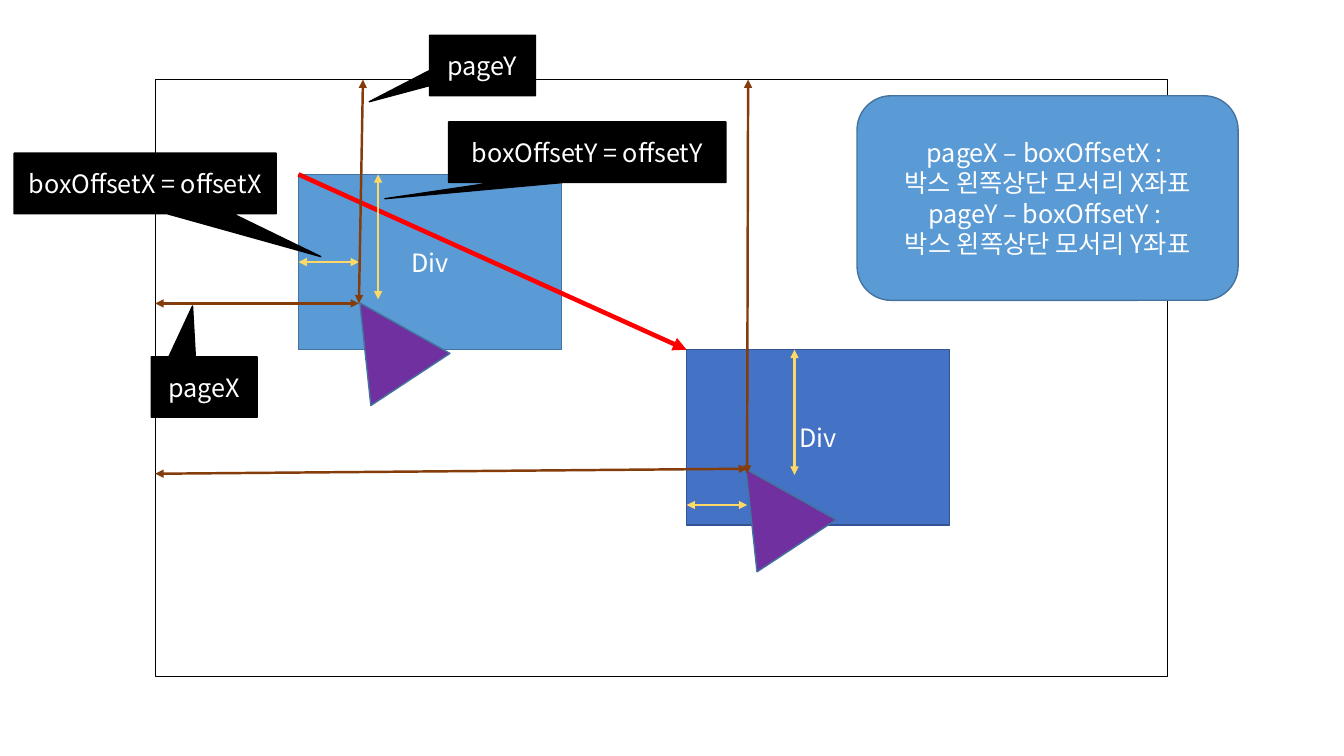
import pptx
import pptx.util
import pptx.dml.color
import pptx.enum.shapes
import pptx.enum.text
import pptx.oxml
import pptx.oxml.ns

Inches = pptx.util.Inches
Pt = pptx.util.Pt
SHAPE = pptx.enum.shapes.MSO_SHAPE
FONT = "Noto Sans CJK KR"
COLORS = {
    "black": "000000", "white": "FFFFFF", "red": "FF0000",
    "blue": "5B9BD5", "edge": "43739E", "navy": "4472C4", "rim": "325491",
    "purple": "7030A0", "gold": "FFD966", "brown": "843C0B",
}
TEXT = {"name": FONT, "size": Pt(18)}
FRAME = {"word_wrap": True, "vertical_anchor": pptx.enum.text.MSO_ANCHOR.MIDDLE}


def color(name):
    return pptx.dml.color.RGBColor.from_string(COLORS[name])


def apply(item, values):
    for key, value in values.items():
        setattr(item, key, value)


def add_xml(parent, tag, **attrs):
    node = pptx.oxml.parse_xml(f"<a:{tag} {pptx.oxml.ns.nsdecls('a')}/>")
    for key, value in attrs.items():
        node.set(key, value)
    parent.append(node)


def write(shape, lines):
    apply(shape.text_frame, FRAME)
    for i, line in enumerate(lines):
        frame = shape.text_frame
        para = frame.add_paragraph() if i else frame.paragraphs[0]
        para.alignment = pptx.enum.text.PP_ALIGN.CENTER
        run = para.add_run()
        run.text = line
        apply(run.font, TEXT)
        run.font.color.rgb = color("white")
        add_xml(run.font._element, "ea", typeface=FONT)


def draw(slide, kind, box, fill, edge, lines=(), width=1):
    shape = slide.shapes.add_shape(kind, *map(Inches, box))
    shape.shadow.inherit = False
    if fill:
        shape.fill.solid()
        shape.fill.fore_color.rgb = color(fill)
    else:
        shape.fill.background()
    shape.line.color.rgb = color(edge)
    shape.line.width = Pt(width)
    write(shape, lines)
    return shape


def arrow(slide, start, end, tone, width=1.75, ends=("headEnd", "tailEnd")):
    kind = pptx.enum.shapes.MSO_CONNECTOR.STRAIGHT
    link = slide.shapes.add_connector(kind, *map(Inches, start + end))
    link.line.color.rgb = color(tone)
    link.line.width = Pt(width)
    for tag in ends:
        add_xml(link.line._get_or_add_ln(), tag, type="triangle")
    add_xml(link._element.spPr, "effectLst")


def div(slide, box, fill, edge):
    draw(slide, SHAPE.RECTANGLE, box, fill, edge, ["Div"])


def marks(slide, box, page, cursor, tip, row, col, side, top):
    """Cursor and the distances measured from the div and the page."""
    left, head = box[:2]
    shape = draw(slide, SHAPE.ISOSCELES_TRIANGLE,
                 (left + cursor[0], head + cursor[1], 0.94, 0.91), "purple", "edge")
    shape.rotation = 326.6
    x, y = left + tip[0], head + tip[1]
    # Offsets inside the div
    arrow(slide, (left, head + row), (x, head + row), "gold")
    arrow(slide, (left + col, head + 1.24), (left + col, head), "gold")
    # Distances from the page edges
    arrow(slide, (page[0], y), (x, y + side), "brown")
    arrow(slide, (x, y), (x + top, page[1]), "brown")


def callout(slide, box, text, tip):
    shape = draw(slide, SHAPE.RECTANGULAR_CALLOUT, box, "black", "black", [text])
    for i, value in enumerate(tip):
        shape.adjustments[i] = value


def panel(slide, box):
    lines = []
    for axis in "XY":
        lines += [f"page{axis} – boxOffset{axis} : ", f"박스 왼쪽상단 모서리 {axis}좌표"]
    draw(slide, SHAPE.ROUNDED_RECTANGLE, box, "blue", "edge", lines)


def main():
    prs = pptx.Presentation()
    apply(prs, {"slide_width": Inches(13.33), "slide_height": Inches(7.5)})
    slide = prs.slides.add_slide(prs.slide_layouts[6])

    # Page outline and the div before and after the move
    page = (1.54, 0.79, 10.04, 5.92)
    size = (2.61, 1.74)
    old = (2.96, 1.73) + size
    new = (6.81, 3.47) + size
    draw(slide, SHAPE.RECTANGLE, page, None, "black", width=0.75)
    div(slide, new, "navy", "rim")
    div(slide, old, "blue", "edge")
    arrow(slide, old[:2], new[:2], "red", 3.25, ["tailEnd"])

    # Measures
    marks(slide, old, page, (0.39, 1.2), (0.6, 1.28), 0.87, 0.79, 0, 0.04)
    marks(slide, new, page, (0.37, 1.11), (0.6, 1.23), 1.54, 1.07, -0.05, 0.01)

    # Labels
    for box, text, tip in (
        ((4.26, 0.35, 1.05, 0.6), "pageY", (-1.07, 0.6)),
        ((4.45, 1.21, 2.75, 0.6), "boxOffsetY = offsetY", (-0.73, 0.77)),
        ((1.5, 3.54, 1.05, 0.6), "pageX", (-0.11, -1.34)),
        ((0.14, 1.52, 2.6, 0.6), "boxOffsetX = offsetX", (0.67, 1.21)),
    ):
        callout(slide, box, text, tip)
    panel(slide, (8.5, 0.95, 3.78, 2.03))

    prs.save("out.pptx")


if __name__ == "__main__":
    main()
